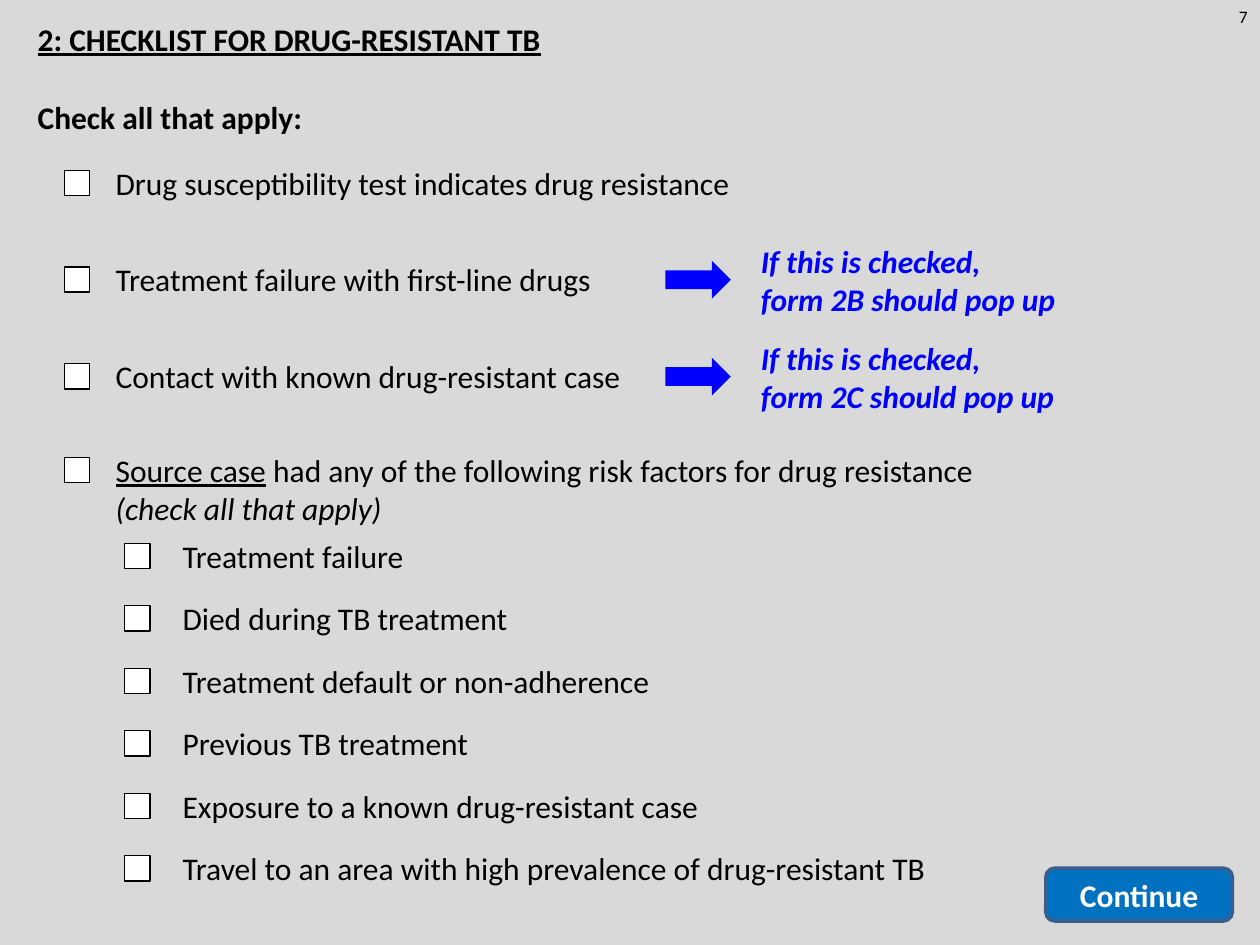
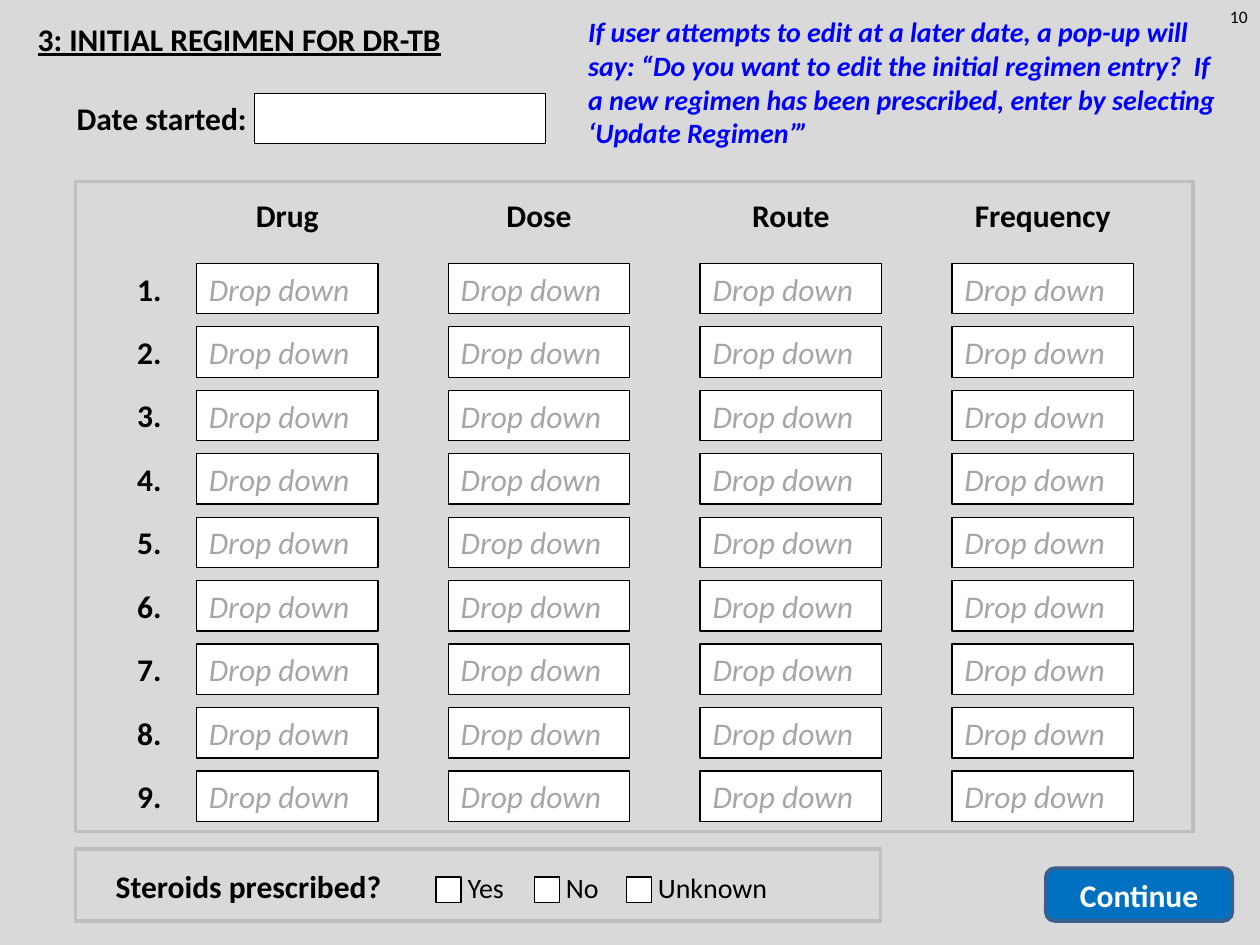
from pptx import Presentation
from pptx.dml.color import RGBColor
from pptx.enum.shapes import MSO_SHAPE
from pptx.enum.text import MSO_ANCHOR, MSO_AUTO_SIZE, PP_ALIGN
from pptx.util import Pt

RECT, ROUND_RECT, ARROW = MSO_SHAPE.RECTANGLE, MSO_SHAPE.ROUNDED_RECTANGLE, MSO_SHAPE.RIGHT_ARROW
LEFT, CENTER, RIGHT = PP_ALIGN.LEFT, PP_ALIGN.CENTER, PP_ALIGN.RIGHT
MIDDLE, GROW = MSO_ANCHOR.MIDDLE, MSO_AUTO_SIZE.SHAPE_TO_FIT_TEXT

BACKGROUND = RGBColor(0xD9, 0xD9, 0xD9)
BLACK = RGBColor(0, 0, 0)
WHITE = RGBColor(0xFF, 0xFF, 0xFF)
NOTE_BLUE = RGBColor(0, 0, 0xFF)
BUTTON_BLUE = RGBColor(0, 0x70, 0xC0)
BUTTON_EDGE = RGBColor(0x3A, 0x5F, 0x8C)
PANEL_GRAY = RGBColor(0xBF, 0xBF, 0xBF)
HINT_GRAY = RGBColor(0xA6, 0xA6, 0xA6)

FONT = "Calibri"
LINE_H = 28.8
CHECK = 14.4
CHECK_DROP = 7.3

RISK_FACTORS = [
    "Treatment failure",
    "Died during TB treatment",
    "Treatment default or non-adherence",
    "Previous TB treatment",
    "Exposure to a known drug-resistant case",
    "Travel to an area with high prevalence of drug-resistant TB",
]


def format_run(r, size=18, color=BLACK, bold=False, italic=False, underline=False):
    """Apply the form's font to one run."""
    f = r.font
    f.name, f.size, f.bold, f.italic, f.underline = FONT, Pt(size), bold, italic, underline
    f.color.rgb = color


def format_text(tf, align=LEFT, **style):
    """Align and format all the text of a frame."""
    tf.word_wrap = True
    for p in tf.paragraphs:
        p.alignment = align
        for r in p.runs:
            format_run(r, **style)


def add_text(s, text, x, y, w, h=LINE_H, **style):
    """Add a wrapped text box and return its frame."""
    tf = s.shapes.add_textbox(Pt(x), Pt(y), Pt(w), Pt(h)).text_frame
    tf.text = text
    tf.auto_size = GROW
    format_text(tf, **style)
    return tf


def add_box(s, kind, x, y, w, h, fill=None, line=None, weight=0.75):
    """Add a flat preset shape."""
    sp = s.shapes.add_shape(kind, Pt(x), Pt(y), Pt(w), Pt(h))
    sp.shadow.inherit = False
    if fill is None:
        sp.fill.background()
    else:
        sp.fill.solid()
        sp.fill.fore_color.rgb = fill
    if line is None:
        sp.line.fill.background()
    else:
        sp.line.color.rgb = line
        sp.line.width = Pt(weight)
    return sp


def add_filled_text(sp, text, **style):
    """Write vertically centred text into a shape."""
    tf = sp.text_frame
    tf.text = text
    tf.vertical_anchor = MIDDLE
    format_text(tf, **style)


def add_field(s, x, y, w, h=LINE_H):
    """Add a white entry field."""
    return add_box(s, RECT, x, y, w, h, WHITE, BLACK)


def add_option(s, text, x, y, gap, w, h=LINE_H, **style):
    """Add a checkbox with its label, the label's top at y."""
    add_field(s, x, y + CHECK_DROP, CHECK, CHECK)
    return add_text(s, text, x + gap, y, w, h, **style)


def add_popup_note(s, form, x, y):
    """Add an arrow and the note on the form that opens, beside a row at y."""
    add_box(s, ARROW, x, y + 3.8, 37.4, 21.6, NOTE_BLUE)
    add_text(s, f"If this is checked,\nform {form} should pop up", x + 47.5, y - 10.6,
             240.5, 51, color=NOTE_BLUE, bold=True, italic=True)


def add_form_slide(prs, title, number):
    """Add a slide with the shared background, title, number and button."""
    s = prs.slides.add_slide(prs.slide_layouts[6])
    s.background.fill.solid()
    s.background.fill.fore_color.rgb = BACKGROUND
    add_text(s, number, 684, 0, 36, 19.4, size=10, align=RIGHT)
    add_text(s, title, 14.4, 7.9, 506, bold=True, underline=True)
    button = add_box(s, ROUND_RECT, 597.6, 496.1, 106.6, 30.2, BUTTON_BLUE, BUTTON_EDGE, 2)
    add_filled_text(button, "Continue", color=WHITE, bold=True, align=CENTER)
    return s


def add_main_checks(s, x, y, pitch):
    """Add the main checklist rows with their pop-up notes."""
    rows = [
        ("Drug susceptibility test indicates drug resistance", None),
        ("Treatment failure with first-line drugs", "2B"),
        ("Contact with known drug-resistant case", "2C"),
    ]
    for i, (text, form) in enumerate(rows):
        top = y + i * pitch
        add_option(s, text, x, top, 22.3, 394 if form is None else 472)
        if form:
            add_popup_note(s, form, x + 343.5, top)


def add_source_case(s, x, y, pitch):
    """Add the source case row with its indented risk factors."""
    p = add_option(s, "Source case", x, y, 22.3, 511, 51, underline=True).paragraphs[0]
    for text, italic in ((" had any of the following risk factors for drug resistance ", False),
                         ("(check all that apply)", True)):
        r = p.add_run()
        r.text = text
        format_run(r, italic=italic)
    for i, text in enumerate(RISK_FACTORS):
        add_option(s, text, x + 34.6, y + 49 + i * pitch, 25.9, 450)


def add_regimen_grid(s, x, y, w, h):
    """Add the framed grid of drop-down fields."""
    add_box(s, RECT, x, y, w, h, line=PANEL_GRAY, weight=2)
    field_w, col_pitch, row_pitch = 103.7, 143.9, 36.27
    lefts = [x + 69.1 + i * col_pitch for i in range(4)]
    for left, head in zip(lefts, ("Drug", "Dose", "Route", "Frequency")):
        add_text(s, head, left, y + 5, field_w, bold=True, align=CENTER)
    for row in range(9):
        top = y + 46.8 + row * row_pitch
        add_text(s, f"{row + 1}.", x + 28.1, top, 28.8, bold=True)
        for left in lefts:
            add_filled_text(add_field(s, left, top, field_w), "Drop down",
                            color=HINT_GRAY, italic=True)


def add_steroid_panel(s, x, y, w, h):
    """Add the framed steroid question with its answers."""
    add_box(s, RECT, x, y, w, h, line=PANEL_GRAY, weight=2)
    add_text(s, "Steroids prescribed?", x + 15.8, y + 6.5, 217, bold=True)
    for text, dx, label_w in (("Yes", 205.9, 47.5), ("No", 262.1, 47.5), ("Unknown", 314.7, 83.5)):
        add_option(s, text, x + dx, y + 8.6, 11, label_w, 26.6, size=16)


def build_checklist(prs):
    """Build the drug resistance checklist."""
    s = add_form_slide(prs, "2: CHECKLIST FOR DRUG-RESISTANT TB", "7")
    add_text(s, "Check all that apply:", 14.4, 52.6, 394, bold=True)
    add_main_checks(s, 36.7, 90, 55.3)
    add_source_case(s, 36.7, 254.2, 35.7)


def build_regimen(prs):
    """Build the initial regimen form."""
    s = add_form_slide(prs, "3: INITIAL REGIMEN FOR DR-TB", "10")
    add_text(s, "Date started:", 36.7, 53.3, 217, bold=True)
    add_field(s, 145.4, 53.3, 166.3)
    add_text(s, "If user attempts to edit at a later date, a pop-up will say: “Do you want to edit "
             "the initial regimen entry?  If a new regimen has been prescribed, enter by "
             "selecting ‘Update Regimen’”", 329, 5, 375, 85,
             size=16, color=NOTE_BLUE, bold=True, italic=True)
    add_regimen_grid(s, 43.2, 103.7, 638.6, 371.5)
    add_steroid_panel(s, 43.2, 485.3, 460, 41)


def main():
    """Build and save the deck."""
    prs = Presentation()
    prs.slide_width, prs.slide_height = Pt(720), Pt(540)
    build_checklist(prs)
    build_regimen(prs)
    prs.save("out.pptx")


if __name__ == "__main__":
    main()
